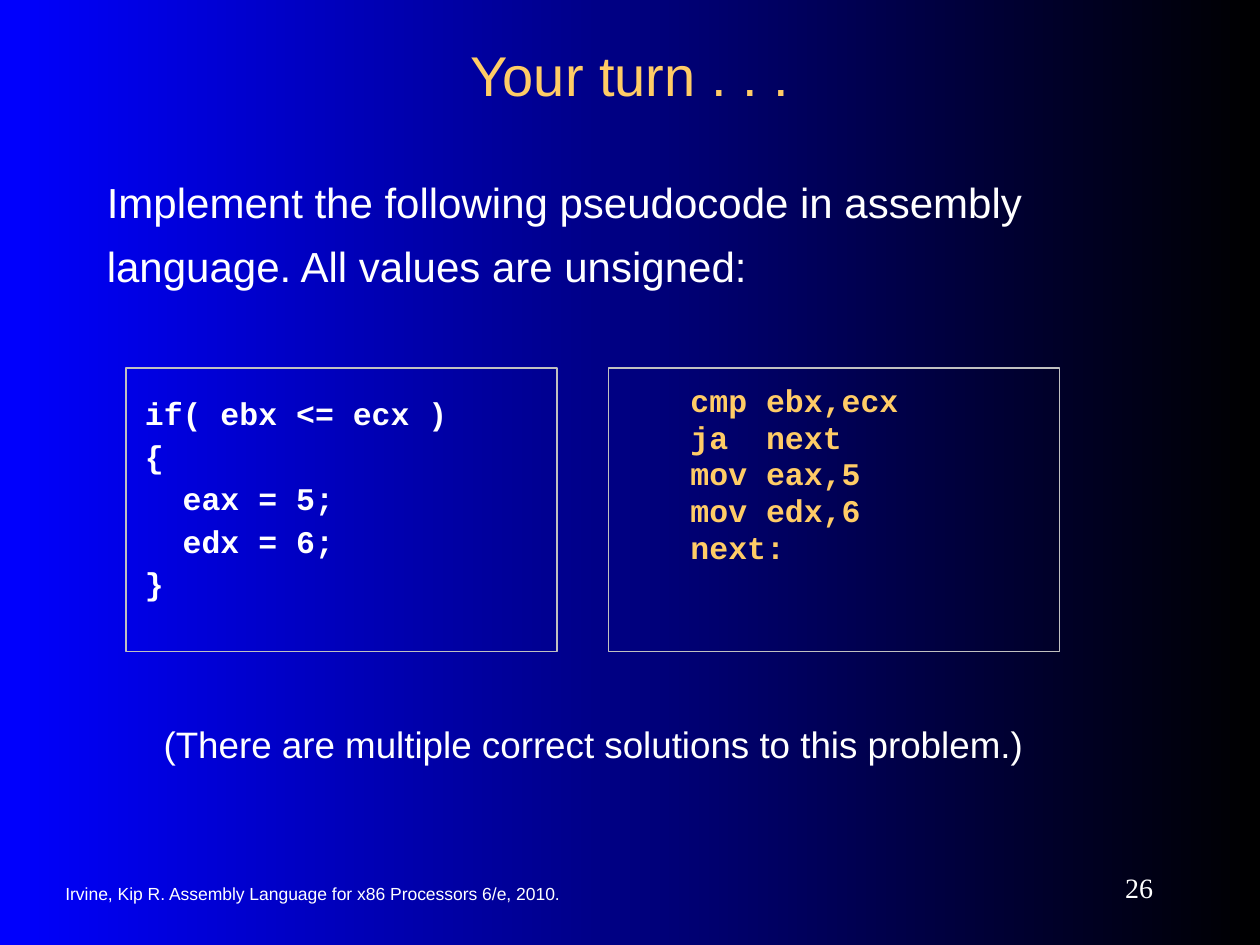
from dataclasses import dataclass

from pptx import Presentation
from pptx.dml.color import RGBColor
from pptx.enum.shapes import MSO_SHAPE
from pptx.enum.text import MSO_ANCHOR, PP_ALIGN
from pptx.util import Inches, Pt


@dataclass(frozen=True)
class Theme:
    white: RGBColor = RGBColor(0xFF, 0xFF, 0xFF)
    gold: RGBColor = RGBColor(0xFF, 0xCC, 0x66)
    edge: RGBColor = RGBColor(0xC0, 0xC0, 0xC0)
    start: RGBColor = RGBColor(0x00, 0x00, 0xFF)
    end: RGBColor = RGBColor(0x00, 0x00, 0x00)
    sans: str = "Arial"
    serif: str = "Times New Roman"
    mono: str = "Courier New"
    title: int = 32
    body: int = 24
    note: int = 21
    code: int = 18
    page: int = 16
    foot: int = 10


THEME = Theme()

PSEUDO = ["if( ebx <= ecx )", "{", "  eax = 5;", "  edx = 6;", "}"]
ANSWER = ["cmp ebx,ecx", "ja  next", "mov eax,5", "mov edx,6", "next:"]


def paint(slide):
    """Fill the background from left to right."""
    fill = slide.background.fill
    fill.gradient()
    fill.gradient_angle = 0
    for stop, color in zip(fill.gradient_stops, (THEME.start, THEME.end)):
        stop.color.rgb = color


def style(para, font, size, color, bold=False):
    for run in para.runs:
        run.font.name = font
        run.font.size = Pt(size)
        run.font.color.rgb = color
        run.font.bold = bold


def add_text(slide, box, text, size, color=THEME.white, font=THEME.sans,
             align=PP_ALIGN.LEFT, anchor=MSO_ANCHOR.MIDDLE):
    """Place one paragraph in a box and return its text frame."""
    frame = slide.shapes.add_textbox(*map(Inches, box)).text_frame
    frame.word_wrap = True
    frame.vertical_anchor = anchor
    frame.text = text
    para = frame.paragraphs[0]
    para.alignment = align
    style(para, font, size, color)
    return frame


def add_task(slide, box, text):
    frame = add_text(slide, box, text, THEME.body, anchor=MSO_ANCHOR.TOP)
    frame.paragraphs[0].line_spacing = 1.26


def add_code(slide, box, lines, color, top, spacing, gap=0, indent=0):
    """Draw an outlined box with one paragraph for each line of code."""
    shape = slide.shapes.add_shape(MSO_SHAPE.RECTANGLE, *map(Inches, box))
    shape.shadow.inherit = False
    shape.fill.background()
    shape.line.color.rgb = THEME.edge
    shape.line.width = Pt(0.75)
    frame = shape.text_frame
    frame.word_wrap = True
    frame.vertical_anchor = MSO_ANCHOR.TOP
    frame.margin_left = Inches(0.15 + indent)
    frame.margin_right = Inches(0.15)
    frame.margin_top = Inches(top)
    frame.text = "\n".join(lines)
    for i, para in enumerate(frame.paragraphs):
        para.alignment = PP_ALIGN.LEFT
        para.line_spacing = spacing
        para.space_before = Pt(gap if i else 0)
        style(para, THEME.mono, THEME.code, color, bold=True)


def add_footer(slide, box, source, page):
    left, top, width, height = box
    add_text(slide, (left, top + 0.1, 4.75, 0.33), source, THEME.foot)
    add_text(slide, (left + width - 1.08, top, 1.08, height), page,
             THEME.page, font=THEME.serif, align=PP_ALIGN.RIGHT)


def main():
    deck = Presentation()
    deck.slide_width, deck.slide_height = Inches(10), Inches(7.5)
    slide = deck.slides.add_slide(deck.slide_layouts[6])
    paint(slide)
    add_text(slide, (0.75, 0.25, 8.5, 0.67), "Your turn . . .", THEME.title,
             THEME.gold, align=PP_ALIGN.CENTER)
    add_task(slide, (0.75, 1.25, 8.5, 1.33),
             "Implement the following pseudocode in assembly language. "
             "All values are unsigned:")
    add_code(slide, (1, 2.92, 3.42, 2.25), PSEUDO, THEME.white,
             top=0.21, spacing=1.0, gap=2.7)
    add_code(slide, (4.83, 2.92, 3.58, 2.25), ANSWER, THEME.gold,
             top=0.12, spacing=0.97, indent=0.5)
    add_text(slide, (0.75, 5.58, 7.92, 0.65),
             "(There are multiple correct solutions to this problem.)",
             THEME.note, align=PP_ALIGN.CENTER)
    add_footer(slide, (0.42, 6.83, 8.83, 0.42),
               "Irvine, Kip R. Assembly Language for x86 Processors 6/e, 2010.",
               "26")
    deck.save("out.pptx")


if __name__ == "__main__":
    main()
